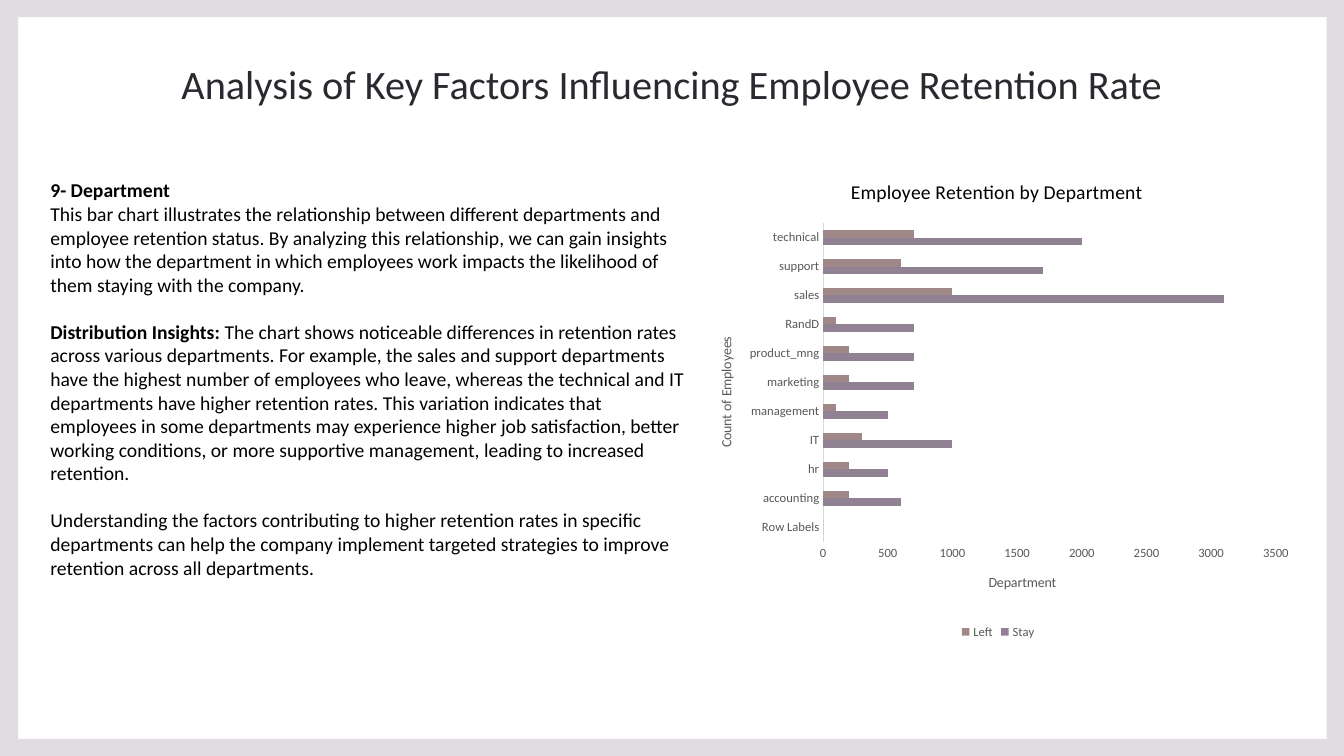
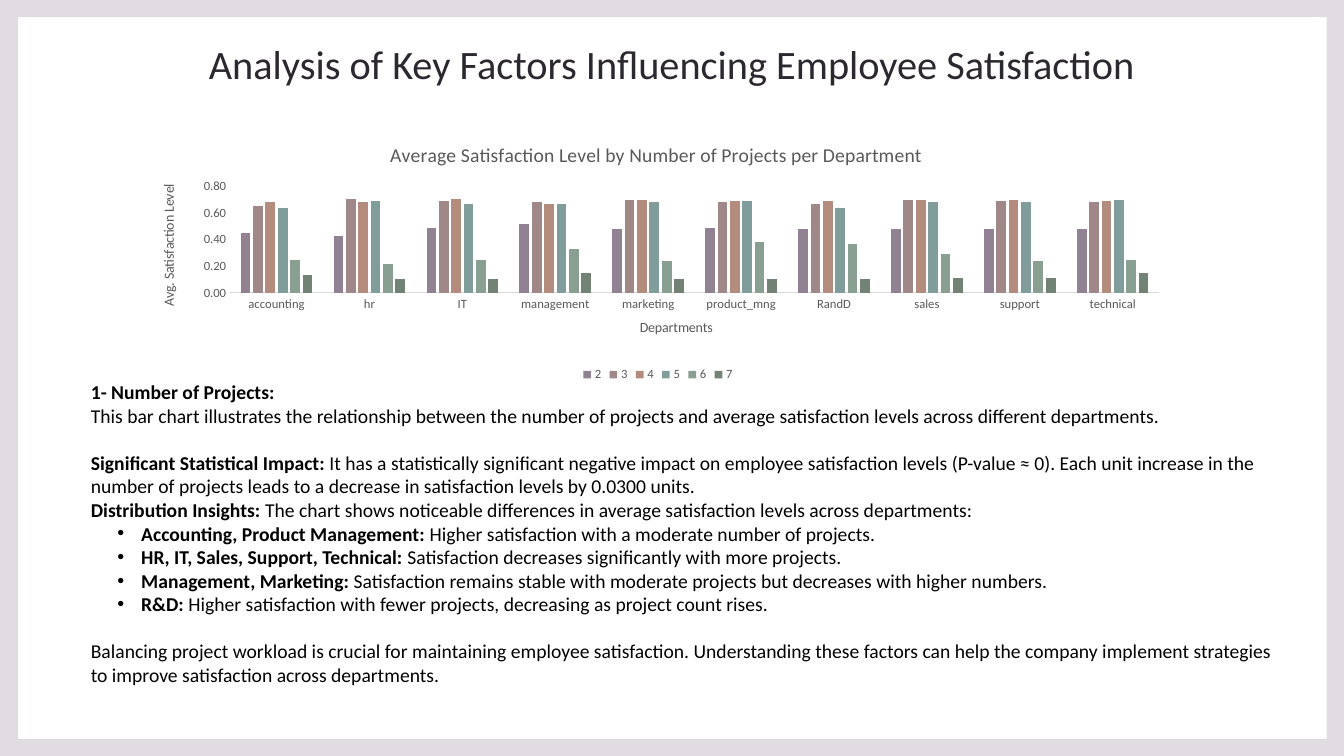
from pptx import Presentation
from pptx.chart.data import CategoryChartData
from pptx.dml.color import RGBColor
from pptx.enum.chart import XL_CHART_TYPE as ChartType
from pptx.enum.chart import XL_LEGEND_POSITION as LegendPosition
from pptx.enum.chart import XL_TICK_MARK as TickMark
from pptx.enum.text import MSO_ANCHOR, PP_ALIGN
from pptx.oxml import parse_xml
from pptx.oxml.ns import nsdecls, qn
from pptx.util import Cm, Pt

FONT = "Calibri"
BLACK = RGBColor(0x00, 0x00, 0x00)
INK = RGBColor(0x2C, 0x28, 0x30)
GREY = RGBColor(0x59, 0x59, 0x59)
AXIS_GREY = RGBColor(0xD9, 0xD9, 0xD9)
FRAME = RGBColor(0xE0, 0xDC, 0xE1)
SERIES_COLORS = [
    RGBColor(0x90, 0x81, 0x93),
    RGBColor(0xA0, 0x88, 0x89),
    RGBColor(0xB4, 0x8C, 0x7E),
    RGBColor(0x80, 0x9C, 0x9B),
    RGBColor(0x89, 0x9F, 0x91),
    RGBColor(0x72, 0x82, 0x74),
]
DEPARTMENTS = ["accounting", "hr", "IT", "management", "marketing",
               "product_mng", "RandD", "sales", "support", "technical"]

# Paragraphs are (kind, bold lead, plain text); a "gap" paragraph opens a new block.
# Places inside a chart are fractions of its width and height.
PAGES = [
    {
        "title": "Analysis of Key Factors Influencing Employee Retention Rate",
        "title_top": 1.47,
        "body_area": (1.02, 4.37, 16.54, 9.83),
        "body": [
            ("plain", "9- Department", ""),
            ("plain", "", "This bar chart illustrates the relationship between different "
             "departments and employee retention status. By analyzing this relationship, we can "
             "gain insights into how the department in which employees work impacts the "
             "likelihood of them staying with the company."),
            ("gap", "Distribution Insights:", " The chart shows noticeable differences in "
             "retention rates across various departments. For example, the sales and support "
             "departments have the highest number of employees who leave, whereas the technical "
             "and IT departments have higher retention rates. This variation indicates that "
             "employees in some departments may experience higher job satisfaction, better "
             "working conditions, or more supportive management, leading to increased "
             "retention."),
            ("gap", "", "Understanding the factors contributing to higher retention rates in "
             "specific departments can help the company implement targeted strategies to "
             "improve retention across all departments."),
        ],
        "chart_type": ChartType.BAR_CLUSTERED,
        "chart_area": (17.55, 4.04, 15.21, 12.17),
        "plot_area": (0.21, 0.13, 0.75, 0.66),
        "chart_title": ("Employee Retention by Department", BLACK, (0.25, 0.03)),
        "category_title": ("Count of Employees", (0.03, 0.36)),
        "value_title": ("Department", (0.48, 0.85)),
        "scale": (3500, 500, "General"),
        "gap_width": 182,
        "overlap": 0,
        "categories": ["Row Labels"] + DEPARTMENTS,
        "series": {
            "Stay": [0, 600, 500, 1000, 500, 700, 700, 700, 3100, 1700, 2000],
            "Left": [0, 200, 200, 300, 100, 200, 200, 100, 1000, 600, 700],
        },
    },
    {
        "title": "Analysis of Key Factors Influencing Employee Satisfaction",
        "title_top": 0.97,
        "body_area": (2.04, 9.45, 30.3, 8.03),
        "body": [
            ("plain", "1- Number of Projects:", ""),
            ("plain", "", "This bar chart illustrates the relationship between the number of "
             "projects and average satisfaction levels across different departments."),
            ("gap", "Significant Statistical Impact:", " It has a statistically significant "
             "negative impact on employee satisfaction levels (P-value ≈ 0). Each unit increase "
             "in the number of projects leads to a decrease in satisfaction levels by 0.0300 "
             "units."),
            ("plain", "Distribution Insights:", " The chart shows noticeable differences in "
             "average satisfaction levels across departments:"),
            ("bullet", "Accounting, Product Management:",
             " Higher satisfaction with a moderate number of projects."),
            ("bullet", "HR, IT, Sales, Support, Technical:",
             " Satisfaction decreases significantly with more projects."),
            ("bullet", "Management, Marketing:", " Satisfaction remains stable with moderate "
             "projects but decreases with higher numbers."),
            ("bullet", "R&D:", " Higher satisfaction with fewer projects, decreasing as project "
             "count rises."),
            ("gap", "", "Balancing project workload is crucial for maintaining employee "
             "satisfaction. Understanding these factors can help the company implement "
             "strategies to improve satisfaction across departments."),
        ],
        "chart_type": ChartType.COLUMN_CLUSTERED,
        "chart_area": (3.43, 3.2, 26.31, 6.53),
        "plot_area": (0.09, 0.23, 0.89, 0.41),
        "chart_title": ("Average Satisfaction Level by Number of Projects per Department",
                        GREY, (0.24, 0.04)),
        "category_title": ("Departments", (0.48, 0.73)),
        "value_title": ("Avg. Satisfaction Level", (0.02, 0.21)),
        "scale": (0.8, 0.2, "0.00"),
        "gap_width": 219,
        "overlap": -27,
        "categories": DEPARTMENTS,
        "series": {
            "2": [0.45, 0.43, 0.49, 0.52, 0.48, 0.49, 0.48, 0.48, 0.48, 0.48],
            "3": [0.65, 0.71, 0.69, 0.68, 0.7, 0.68, 0.67, 0.7, 0.69, 0.68],
            "4": [0.68, 0.68, 0.71, 0.67, 0.7, 0.69, 0.69, 0.7, 0.7, 0.69],
            "5": [0.64, 0.69, 0.67, 0.67, 0.68, 0.69, 0.64, 0.68, 0.68, 0.7],
            "6": [0.25, 0.22, 0.25, 0.33, 0.24, 0.38, 0.37, 0.29, 0.24, 0.25],
            "7": [0.13, 0.1, 0.1, 0.15, 0.1, 0.1, 0.1, 0.11, 0.11, 0.15],
        },
    },
]


def set_layout(element, index, values, target=""):
    """Fix a chart part at x, y and, for the plot, width and height."""
    old = element.find(qn("c:layout"))
    if old is not None:
        element.remove(old)
    modes = '<c:xMode val="edge"/><c:yMode val="edge"/>'
    sizes = "".join(f'<c:{name} val="{value}"/>' for name, value in zip("xywh", values))
    element.insert(index, parse_xml(
        f'<c:layout {nsdecls("c")}><c:manualLayout>{target}{modes}{sizes}'
        "</c:manualLayout></c:layout>"))


def write_chart_title(title, text, size, color, place, upright=False):
    title.text_frame.text = text
    font = title.text_frame.paragraphs[0].runs[0].font
    font.name, font.size, font.bold = FONT, Pt(size), False
    font.color.rgb = color
    if upright:
        body = title.element.find(".//" + qn("a:bodyPr"))
        body.set("rot", "-5400000")
        body.set("vert", "horz")
    set_layout(title.element, 1, place)


deck = Presentation()
deck.slide_width, deck.slide_height = Cm(33.87), Cm(19.05)
width, height = deck.slide_width, deck.slide_height
left, top, right, bottom = Cm(0.46), Cm(0.43), Cm(33.43), Cm(18.62)

for content in PAGES:
    page = deck.slides.add_slide(deck.slide_layouts[5])

    outline = page.shapes.build_freeform(left, top)
    outline.add_line_segments([(left, bottom), (right, bottom), (right, top)], close=True)
    outline.move_to(0, 0)
    outline.add_line_segments([(width, 0), (width, height), (0, height)], close=True)
    border = outline.convert_to_shape()
    border.shadow.inherit = False
    border.fill.solid()
    border.fill.fore_color.rgb = FRAME
    border.line.fill.background()
    # Behind the title: the first two children of the tree are its own properties.
    page.element.cSld.spTree.insert(2, border.element)

    title = page.shapes.title
    title.left, title.top = Cm(3.45), Cm(content["title_top"])
    title.width, title.height = Cm(26.97), Cm(1.27)
    title.text_frame.text = content["title"]
    title.text_frame.vertical_anchor = MSO_ANCHOR.MIDDLE
    heading = title.text_frame.paragraphs[0]
    heading.alignment = PP_ALIGN.CENTER
    heading.font.name, heading.font.size = FONT, Pt(28.8)
    heading.font.color.rgb = INK

    box = page.shapes.add_textbox(*map(Cm, content["body_area"]))
    frame = box.text_frame
    frame.word_wrap = True
    for number, (kind, lead, rest) in enumerate(content["body"]):
        para = frame.paragraphs[0] if number == 0 else frame.add_paragraph()
        if kind == "gap":
            para.space_before = Pt(17)
        elif kind == "bullet":
            settings = para._p.get_or_add_pPr()
            settings.set("marL", str(Cm(1.27)))
            settings.set("indent", str(-Cm(0.6)))
            settings.append(parse_xml(f'<a:buFont {nsdecls("a")} typeface="Arial"/>'))
            settings.append(parse_xml(f'<a:buChar {nsdecls("a")} char="•"/>'))
        for text, bold in ((lead, True), (rest, False)):
            if text:
                span = para.add_run()
                span.text = text
                span.font.name, span.font.size, span.font.bold = FONT, Pt(14), bold
                span.font.color.rgb = BLACK

    data = CategoryChartData()
    data.categories = content["categories"]
    for name, values in content["series"].items():
        data.add_series(name, values)
    chart = page.shapes.add_chart(
        content["chart_type"], *map(Cm, content["chart_area"]), data).chart
    chart.font.name, chart.font.size = FONT, Pt(9)
    chart.font.color.rgb = GREY
    chart.has_legend = True
    chart.legend.position = LegendPosition.BOTTOM
    chart.legend.include_in_layout = False

    plot = chart.plots[0]
    plot.vary_by_categories = False
    plot.gap_width, plot.overlap = content["gap_width"], content["overlap"]
    for series, color in zip(plot.series, SERIES_COLORS):
        series.format.fill.solid()
        series.format.fill.fore_color.rgb = color
    set_layout(chart.element.chart.plotArea, 0, content["plot_area"],
               '<c:layoutTarget val="inner"/>')

    chart.has_title = True
    text, color, place = content["chart_title"]
    write_chart_title(chart.chart_title, text, 14, color, place)
    horizontal_bars = content["chart_type"] == ChartType.BAR_CLUSTERED
    for axis, key, upright in (
            (chart.category_axis, "category_title", horizontal_bars),
            (chart.value_axis, "value_title", not horizontal_bars)):
        axis.has_major_gridlines = False
        axis.major_tick_mark = axis.minor_tick_mark = TickMark.NONE
        text, place = content[key]
        write_chart_title(axis.axis_title, text, 10, GREY, place, upright)
    chart.category_axis.format.line.color.rgb = AXIS_GREY
    chart.category_axis.format.line.width = Pt(0.75)

    value_axis = chart.value_axis
    value_axis.format.line.fill.background()
    value_axis.minimum_scale = 0
    value_axis.maximum_scale, value_axis.major_unit, number_format = content["scale"]
    value_axis.tick_labels.number_format = number_format
    value_axis.tick_labels.number_format_is_linked = False

deck.save("out.pptx")
